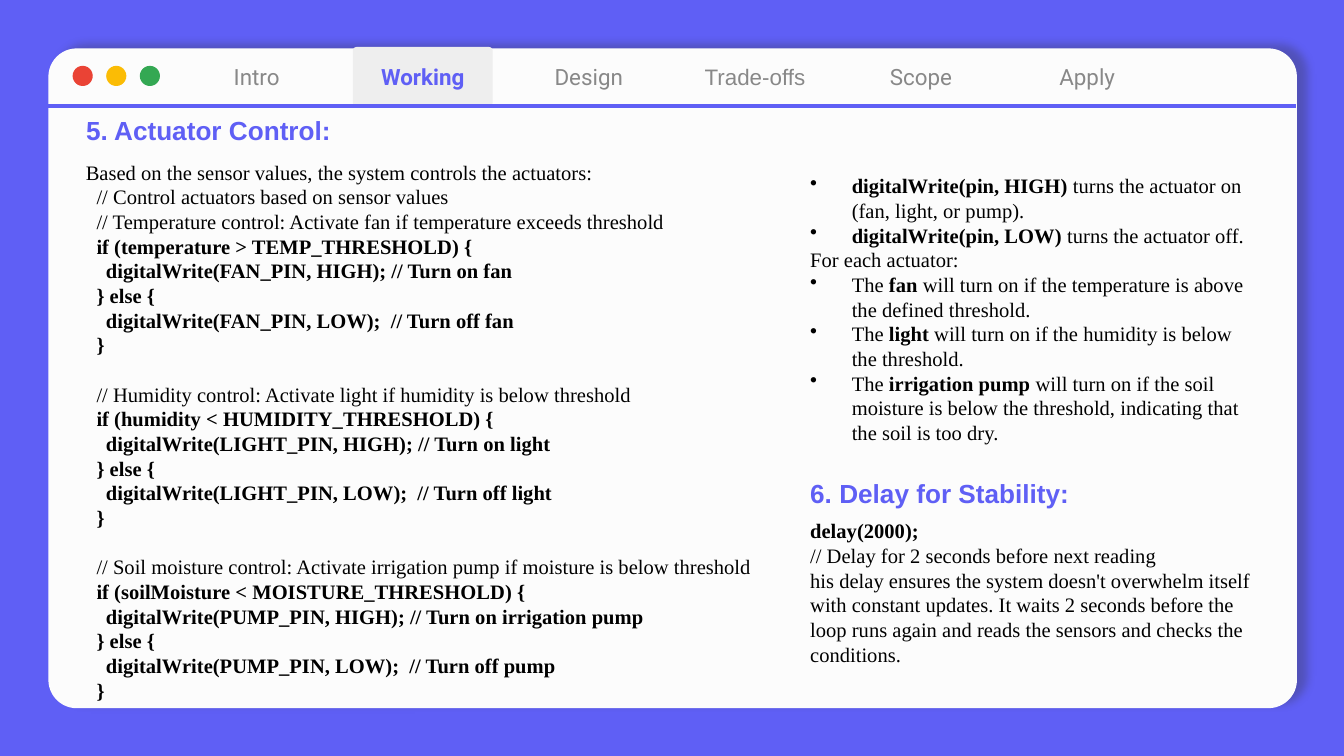
"""Build the actuator control slide with its row of tabs."""
from lxml import etree
from pptx import Presentation, util as u
from pptx.dml.color import RGBColor
from pptx.enum import shapes, text
from pptx.oxml import ns

BLUE = RGBColor(0x5F, 0x5F, 0xF5)
PAPER = RGBColor(0xFC, 0xFC, 0xFC)
PALE = RGBColor(0xEE, 0xEE, 0xEE)
GREY = RGBColor(0x88, 0x88, 0x88)
BLACK = RGBColor(0, 0, 0)
RED = RGBColor(0xEA, 0x43, 0x35)
GOLD = RGBColor(0xFB, 0xBC, 0x05)
GREEN = RGBColor(0x34, 0xA8, 0x53)

PITCH = 13.2
ROUND = shapes.MSO_SHAPE.ROUNDED_RECTANGLE
TABS = ["Intro", "Working", "Design", "Trade-offs", "Scope", "Apply"]
RULES = [
    ("Temperature control: Activate fan if temperature exceeds threshold",
     "temperature > TEMP_THRESHOLD", "FAN_PIN", "fan", "fan"),
    ("Humidity control: Activate light if humidity is below threshold",
     "humidity < HUMIDITY_THRESHOLD", "LIGHT_PIN", "light", "light"),
    ("Soil moisture control: Activate irrigation pump if moisture is below threshold",
     "soilMoisture < MOISTURE_THRESHOLD", "PUMP_PIN", "irrigation pump", "pump"),
]
NOTES = [
    ("**digitalWrite(pin, HIGH)** turns the actuator on (fan, light, or pump).", True),
    ("**digitalWrite(pin, LOW)** turns the actuator off.", True),
    ("For each actuator:", False),
    ("The **fan** will turn on if the temperature is above the defined threshold.", True),
    ("The **light** will turn on if the humidity is below the threshold.", True),
    ("The **irrigation pump** will turn on if the soil moisture is below the "
     "threshold, indicating that the soil is too dry.", True),
]
DELAY = [
    "**delay(2000);**",
    "// Delay for 2 seconds before next reading",
    "his delay ensures the system doesn't overwhelm itself with constant updates. "
    "It waits 2 seconds before the loop runs again and reads the sensors and "
    "checks the conditions.",
]


def write(para, words, font="Times New Roman", size=11, color=BLACK, bold=False,
          align=None, pitch=None, before=0, left=0, hang=0):
    """Fill a paragraph, with text between double stars set bold."""
    para.alignment = align
    para.space_before = u.Pt(before)
    if pitch:
        para.line_spacing = u.Pt(pitch)
    props = para._p.get_or_add_pPr()
    props.set("marL", str(u.Inches(left)))
    props.set("indent", str(u.Inches(-hang)))
    if hang:
        mark = etree.SubElement(props, ns.qn("a:buChar"))
        mark.set("char", "•")
    for i, part in enumerate(words.split("**")):
        if part:
            run = para.add_run()
            run.text = part
            run.font.name = font
            run.font.size = u.Pt(size)
            run.font.color.rgb = color
            run.font.bold = bold or i % 2 == 1


class Deck:
    """Hold the style and the current slide."""

    def __init__(self):
        self.file = Presentation()
        self.file.slide_width = u.Inches(10)
        self.file.slide_height = u.Inches(10) * 9 // 16
        self.slide = self.file.slides.add_slide(self.file.slide_layouts[5])
        fill = self.slide.background.fill
        fill.solid()
        fill.fore_color.rgb = BLUE

    def shape(self, kind, box, fill=None, adj=None):
        """Add a flat shape without an outline."""
        item = self.slide.shapes.add_shape(kind, *map(u.Inches, box))
        item.shadow.inherit = False
        item.line.fill.background()
        if fill is None:
            item.fill.background()
        else:
            item.fill.solid()
            item.fill.fore_color.rgb = fill
        if adj is not None:
            item.adjustments[0] = adj
        return item

    def panel(self, box):
        """Add the rounded panel with its soft shadow."""
        item = self.shape(ROUND, box, PAPER, 0.043)
        effects = item._element.spPr.find(ns.qn("a:effectLst"))
        shade = etree.SubElement(effects, ns.qn("a:outerShdw"), blurRad=str(u.Pt(4.5)),
                                 dist=str(u.Pt(6)), dir=str(342 * 60000),
                                 algn="bl", rotWithShape="0")
        tint = etree.SubElement(shade, ns.qn("a:srgbClr"), val="313131")
        etree.SubElement(tint, ns.qn("a:alpha"), val="30000")

    def tab(self, x, name, live=False, font="Roboto"):
        """Add one tab of the top bar."""
        item = self.shape(ROUND, (x, 0.35, 1.04, 0.44), PALE if live else None, 0.06)
        frame = item.text_frame
        frame.margin_left = frame.margin_right = 0
        frame.margin_top = frame.margin_bottom = 0
        frame.vertical_anchor = text.MSO_ANCHOR.MIDDLE
        write(frame.paragraphs[0], name, font=font, size=12, bold=live,
              color=BLUE if live else GREY, align=text.PP_ALIGN.CENTER)

    def rule(self, x, y, end):
        """Add a level line."""
        line = self.slide.shapes.add_connector(
            shapes.MSO_CONNECTOR.STRAIGHT, *map(u.Inches, (x, y, end, y)))
        line.line.color.rgb = BLUE
        line.line.width = u.Pt(2.25)
        etree.SubElement(line._element.spPr, ns.qn("a:effectLst"))

    def head(self, item, words):
        """Format a heading in the given holder."""
        frame = item.text_frame
        frame.word_wrap = True
        frame.auto_size = text.MSO_AUTO_SIZE.NONE
        frame.vertical_anchor = text.MSO_ANCHOR.TOP
        write(frame.paragraphs[0], words, font="Arial", size=14, color=BLUE,
              bold=True, align=text.PP_ALIGN.LEFT)

    def title(self, box, words):
        """Place the title in front of the panel and fill it."""
        item = self.slide.shapes.title
        item.left, item.top, item.width, item.height = map(u.Inches, box)
        self.head(item, words)
        self.slide.shapes.element.append(item.element)

    def box(self, box):
        """Add an empty text box that wraps."""
        item = self.slide.shapes.add_textbox(*map(u.Inches, box))
        item.text_frame.word_wrap = True
        return item

    def body(self, box, rows):
        """Add a text box with one paragraph for each row."""
        frame = self.box(box).text_frame
        for i, (words, style) in enumerate(rows):
            para = frame.add_paragraph() if i else frame.paragraphs[0]
            write(para, words, pitch=PITCH, **style)


def code():
    """Return the rows of the code listing."""
    near, far = {"left": 0.08}, {"left": 0.15, "bold": True}
    firm = {**near, "bold": True}
    rows = [("Based on the sensor values, the system controls the actuators:", {}),
            ("// Control actuators based on sensor values", near)]
    for i, (note, test, pin, on, off) in enumerate(RULES):
        rows += [
            (f"// {note}", {**near, "before": PITCH if i else 0}),
            (f"if ({test}) {{", firm),
            (f"digitalWrite({pin}, HIGH); // Turn on {on}", far),
            ("} else {", firm),
            (f"digitalWrite({pin}, LOW);  // Turn off {off}", far),
            ("}", firm),
        ]
    return rows


def main():
    """Draw the slide and save it."""
    deck = Deck()
    deck.panel((0.36, 0.36, 9.29, 4.91))
    step = (7.57 - 1.39) / 5
    for i, name in enumerate(TABS):
        deck.tab(1.39 + i * step, name, live=name == "Working",
                 font="Arial" if name == "Trade-offs" else "Roboto")
    deck.rule(0.36, 0.79, 9.64)
    for i, color in enumerate([RED, GOLD, GREEN]):
        deck.shape(shapes.MSO_SHAPE.OVAL, (0.54 + i * 0.25, 0.49, 0.15, 0.15), color)
    deck.title((0.54, 0.8, 2.75, 0.34), "5. Actuator Control:")
    deck.body((0.54, 1.14, 5.4, 4.36), code())
    notes = [(words, {"left": 0.31, "hang": 0.31} if dot else {}) for words, dot in NOTES]
    wait = [(words, {"before": 0 if i else 3 * PITCH}) for i, words in enumerate(DELAY)]
    deck.body((5.93, 1.24, 3.54, 3.8), notes + wait)
    deck.head(deck.box((5.93, 3.5, 2.75, 0.34)), "6. Delay for Stability:")
    deck.file.save("out.pptx")


if __name__ == "__main__":
    main()
